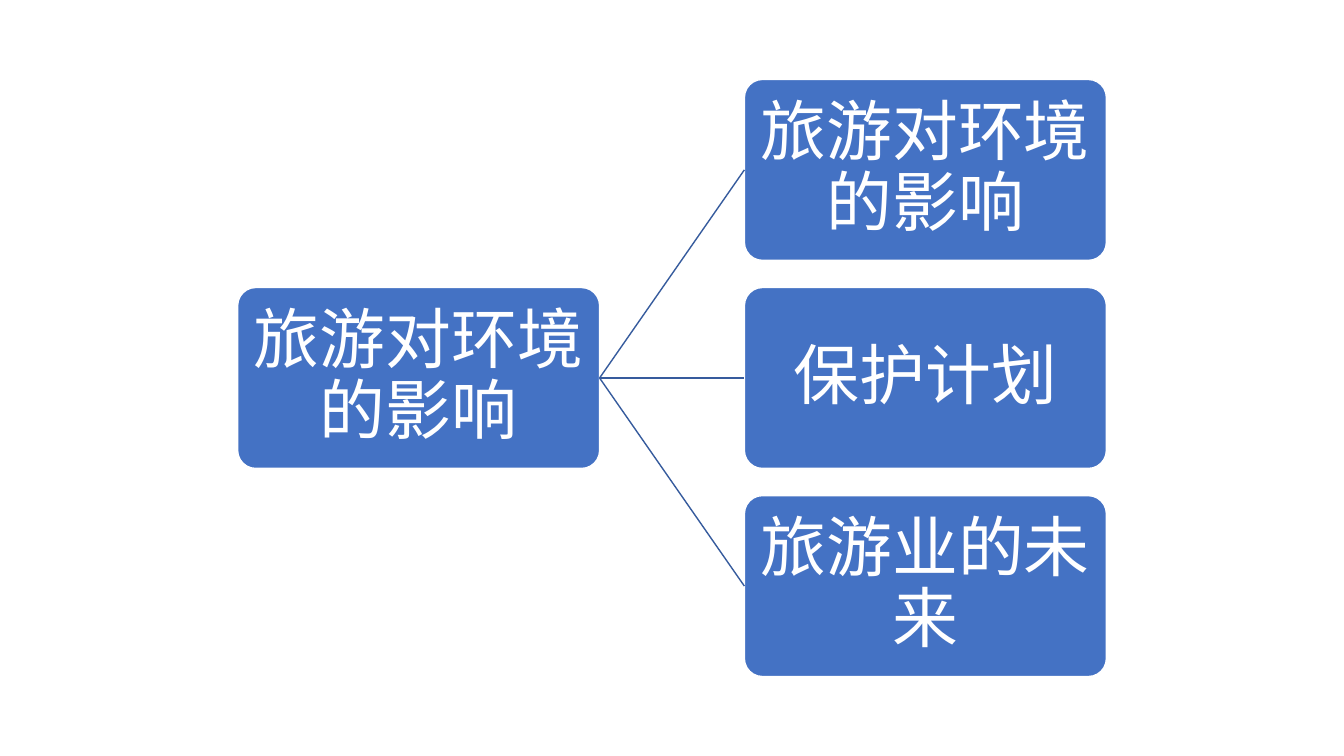
from dataclasses import dataclass

from lxml import etree
from pptx import Presentation
from pptx.dml.color import RGBColor
from pptx.enum.shapes import MSO_CONNECTOR, MSO_SHAPE
from pptx.enum.text import MSO_ANCHOR, PP_ALIGN
from pptx.oxml.ns import qn
from pptx.util import Inches, Pt

ROUND = MSO_SHAPE.ROUNDED_RECTANGLE
STRAIGHT = MSO_CONNECTOR.STRAIGHT
MIDDLE = MSO_ANCHOR.MIDDLE
CENTER = PP_ALIGN.CENTER
LEFT, RIGHT = 1, 3

ROOT = "旅游对环境的影响"
TOPICS = ["旅游对环境的影响", "保护计划", "旅游业的未来"]


@dataclass
class Theme:
    fill: RGBColor = RGBColor.from_string("4472C4")
    link: RGBColor = RGBColor.from_string("365B9D")
    white: RGBColor = RGBColor.from_string("FFFFFF")
    font: str = "Noto Sans CJK SC"
    size: Pt = Pt(47)
    after: Pt = Pt(16)
    rule: Pt = Pt(1)


THEME = Theme()
WIDE, HIGH = Inches(13.33), Inches(7.5)
BOX_W = Inches(3.59)
BOX_H = BOX_W // 2
GAP_X = BOX_W * 2 // 5
STEP = BOX_H * 23 // 20
PAD = Inches(0.03)
ROOT_X = (WIDE - 2 * BOX_W - GAP_X) // 2
TOPIC_X = ROOT_X + BOX_W + GAP_X


def put(item, values):
    for name, value in values.items():
        setattr(item, name, value)


def add_box(slide, text, x, row):
    """Add a box whose row counts from the middle of the slide."""
    y = int((HIGH - BOX_H) / 2 + row * STEP)
    box = slide.shapes.add_shape(ROUND, x, y, BOX_W, BOX_H)
    box.adjustments[0] = 0.1
    box.shadow.inherit = False
    box.fill.solid()
    box.fill.fore_color.rgb = THEME.fill
    box.line.color.rgb = THEME.white
    box.line.width = THEME.rule
    frame = box.text_frame
    put(frame, {"word_wrap": True, "vertical_anchor": MIDDLE,
                "margin_left": PAD, "margin_right": PAD,
                "margin_top": PAD, "margin_bottom": PAD})
    para = frame.paragraphs[0]
    put(para, {"alignment": CENTER, "line_spacing": 0.9,
               "space_after": THEME.after})
    run = para.add_run()
    run.text = text
    put(run.font, {"name": THEME.font, "size": THEME.size})
    run.font.color.rgb = THEME.white
    asian = etree.SubElement(run.font._element, qn("a:ea"))
    asian.set("typeface", THEME.font)
    return box


def add_link(slide, start, end):
    link = slide.shapes.add_connector(STRAIGHT, 0, 0, 0, 0)
    link.begin_connect(start, RIGHT)
    link.end_connect(end, LEFT)
    link.line.color.rgb = THEME.link
    link.line.width = THEME.rule
    etree.SubElement(link._element.spPr, qn("a:effectLst"))


def main():
    deck = Presentation()
    put(deck, {"slide_width": WIDE, "slide_height": HIGH})
    slide = deck.slides.add_slide(deck.slide_layouts[6])
    root = add_box(slide, ROOT, ROOT_X, 0)
    for i, text in enumerate(TOPICS):
        topic = add_box(slide, text, TOPIC_X, i - (len(TOPICS) - 1) / 2)
        add_link(slide, root, topic)
    deck.save("out.pptx")


if __name__ == "__main__":
    main()
